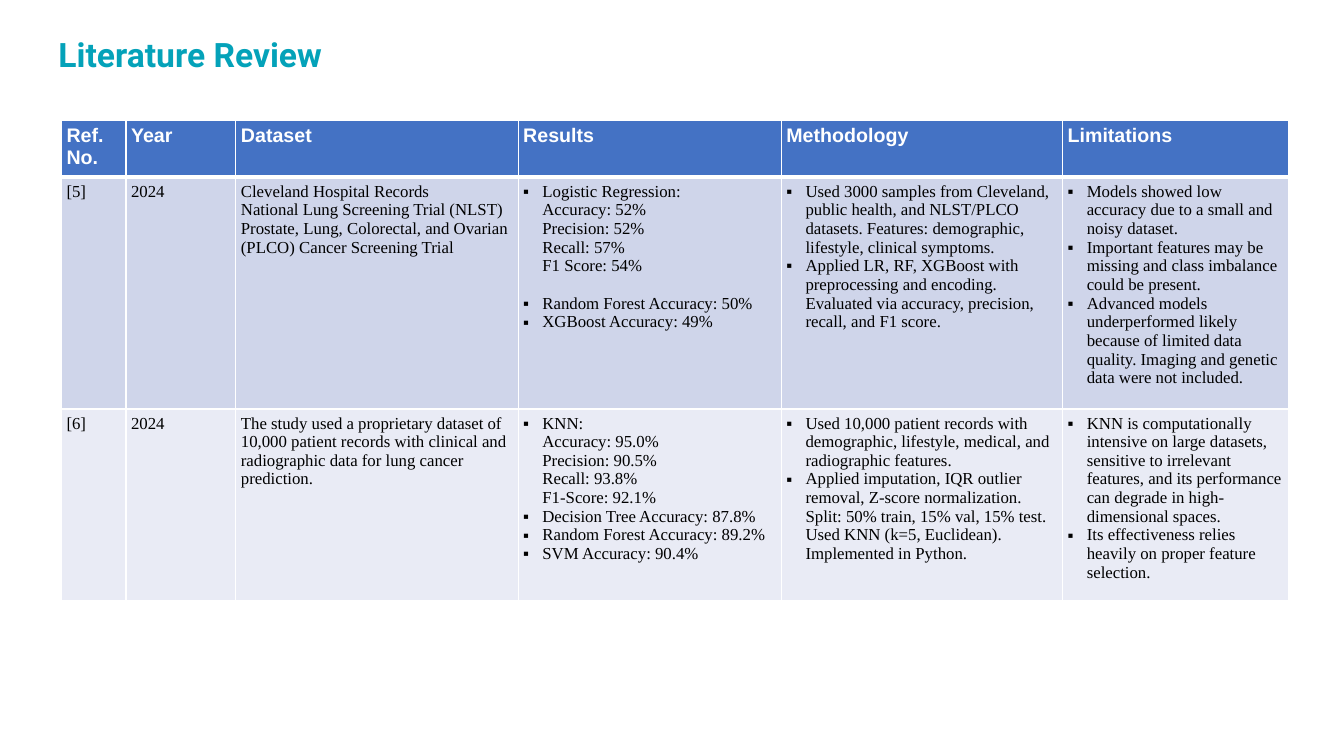
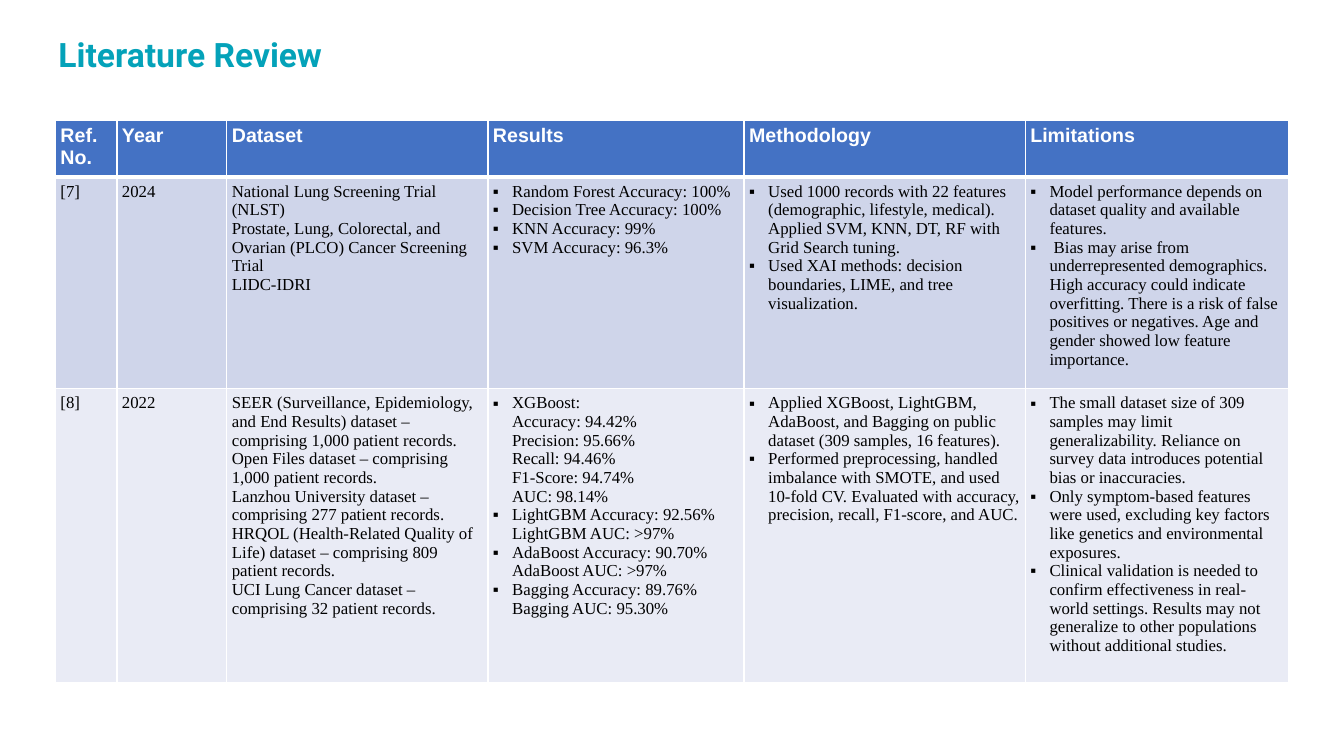
from copy import deepcopy

from lxml import etree
from pptx import Presentation
from pptx.dml.color import RGBColor
from pptx.enum import text
from pptx.oxml.ns import qn
from pptx.util import Inches, Pt

# Shared colours and sizes
TEAL = RGBColor(0x04, 0xA2, 0xB9)
HEADER_BLUE = RGBColor(0x44, 0x72, 0xC4)
BAND_DARK = RGBColor(0xCF, 0xD5, 0xEA)
BAND_LIGHT = RGBColor(0xE9, 0xEB, 0xF5)
WHITE = RGBColor(0xFF, 0xFF, 0xFF)
BLACK = RGBColor(0x00, 0x00, 0x00)
HEADER_HEIGHT = 0.56
TABLE_TOP = 1.19
FIRST_BULLET_COLUMN = 3
HEADINGS = ["Ref. No.", "Year", "Dataset", "Results", "Methodology", "Limitations"]

# Table content: one list of paragraphs per cell
EARLY_STUDIES = [
    [
        ["[5]"],
        ["2024"],
        ["Cleveland Hospital Records",
         "National Lung Screening Trial (NLST)",
         "Prostate, Lung, Colorectal, and Ovarian (PLCO) Cancer Screening Trial"],
        ["Logistic Regression:\nAccuracy: 52%\nPrecision: 52%\nRecall: 57%\nF1 Score: 54%",
         "Random Forest Accuracy: 50%",
         "XGBoost Accuracy: 49%"],
        ["Used 3000 samples from Cleveland, public health, and NLST/PLCO datasets. "
         "Features: demographic, lifestyle, clinical symptoms.",
         "Applied LR, RF, XGBoost with preprocessing and encoding. "
         "Evaluated via accuracy, precision, recall, and F1 score."],
        ["Models showed low accuracy due to a small and noisy dataset.",
         "Important features may be missing and class imbalance could be present.",
         "Advanced models underperformed likely because of limited data quality. "
         "Imaging and genetic data were not included."],
    ],
    [
        ["[6]"],
        ["2024"],
        ["The study used a proprietary dataset of 10,000 patient records with "
         "clinical and radiographic data for lung cancer prediction."],
        ["KNN:\nAccuracy: 95.0%\nPrecision: 90.5%\nRecall: 93.8%\nF1-Score: 92.1%",
         "Decision Tree Accuracy: 87.8%",
         "Random Forest Accuracy: 89.2%",
         "SVM Accuracy: 90.4%"],
        ["Used 10,000 patient records with demographic, lifestyle, medical, and "
         "radiographic features.",
         "Applied imputation, IQR outlier removal, Z-score normalization. "
         "Split: 50% train, 15% val, 15% test. Used KNN (k=5, Euclidean). "
         "Implemented in Python."],
        ["KNN is computationally intensive on large datasets, sensitive to irrelevant "
         "features, and its performance can degrade in high-dimensional spaces.",
         "Its effectiveness relies heavily on proper feature selection."],
    ],
]
LATER_STUDIES = [
    [
        ["[7]"],
        ["2024"],
        ["National Lung Screening Trial (NLST)",
         "Prostate, Lung, Colorectal, and Ovarian (PLCO) Cancer Screening Trial",
         "LIDC-IDRI"],
        ["Random Forest Accuracy: 100%",
         "Decision Tree Accuracy: 100%",
         "KNN Accuracy: 99%",
         "SVM Accuracy: 96.3%"],
        ["Used 1000 records with 22 features (demographic, lifestyle, medical). "
         "Applied SVM, KNN, DT, RF with Grid Search tuning.",
         "Used XAI methods: decision boundaries, LIME, and tree visualization."],
        ["Model performance depends on dataset quality and available features.",
         " Bias may arise from underrepresented demographics. High accuracy could "
         "indicate overfitting. There is a risk of false positives or negatives. "
         "Age and gender showed low feature importance."],
    ],
    [
        ["[8]"],
        ["2022"],
        ["SEER (Surveillance, Epidemiology, and End Results) dataset – "
         "comprising 1,000 patient records.",
         "Open Files dataset – comprising 1,000 patient records.",
         "Lanzhou University dataset – comprising 277 patient records.",
         "HRQOL (Health-Related Quality of Life) dataset – comprising 809 patient records.",
         "UCI Lung Cancer dataset – comprising 32 patient records."],
        ["XGBoost:\nAccuracy: 94.42%\nPrecision: 95.66%\nRecall: 94.46%\n"
         "F1-Score: 94.74%\nAUC: 98.14%",
         "LightGBM Accuracy: 92.56%\nLightGBM AUC: >97%",
         "AdaBoost Accuracy: 90.70%\nAdaBoost AUC: >97%",
         "Bagging Accuracy: 89.76%\nBagging AUC: 95.30%"],
        ["Applied XGBoost, LightGBM, AdaBoost, and Bagging on public dataset "
         "(309 samples, 16 features).",
         "Performed preprocessing, handled imbalance with SMOTE, and used 10-fold CV. "
         "Evaluated with accuracy, precision, recall, F1-score, and AUC."],
        ["The small dataset size of 309 samples may limit generalizability. "
         "Reliance on survey data introduces potential bias or inaccuracies.",
         "Only symptom-based features were used, excluding key factors like genetics "
         "and environmental exposures.",
         "Clinical validation is needed to confirm effectiveness in real-world settings. "
         "Results may not generalize to other populations without additional studies."],
    ],
]


class ReviewDeck:
    """Holds the presentation, its style and the current slide."""

    def __init__(self):
        self.presentation = Presentation()
        self.presentation.slide_width = Inches(13.33)
        self.presentation.slide_height = Inches(7.5)
        self.slide = None

    def add_slide(self, title):
        self.slide = self.presentation.slides.add_slide(self.presentation.slide_layouts[5])
        shape = self.slide.shapes.title
        shape.left, shape.top = Inches(0.58), Inches(0.32)
        shape.width, shape.height = Inches(2.95), Inches(0.42)
        frame = shape.text_frame
        frame.text = title
        frame.word_wrap = True
        frame.auto_size = text.MSO_AUTO_SIZE.SHAPE_TO_FIT_TEXT
        frame.vertical_anchor = text.MSO_ANCHOR.MIDDLE
        frame.margin_left = frame.margin_right = frame.margin_bottom = 0
        frame.margin_top = Inches(0.01)
        paragraph = frame.paragraphs[0]
        paragraph.alignment = text.PP_ALIGN.LEFT
        self.format_runs(paragraph, "Roboto", 24, TEAL, True)

    def add_table(self, left, widths, heights, studies):
        rows = [[[heading] for heading in HEADINGS]] + studies
        heights = [HEADER_HEIGHT] + heights
        table = self.slide.shapes.add_table(
            len(rows), len(widths), Inches(left), Inches(TABLE_TOP),
            Inches(sum(widths)), Inches(sum(heights))).table
        table.horz_banding = False
        for column, width in zip(table.columns, widths):
            column.width = Inches(width)
        for row, height in zip(table.rows, heights):
            row.height = Inches(height)
        for row_index, row in enumerate(rows):
            for column_index, lines in enumerate(row):
                self.fill_cell(table.cell(row_index, column_index), lines,
                               row_index, column_index)
        return table

    def fill_cell(self, cell, lines, row_index, column_index):
        is_header = row_index == 0
        self.add_borders(cell, top=3 if row_index == 1 else 1, bottom=3 if is_header else 1)
        cell.fill.solid()
        cell.fill.fore_color.rgb = (HEADER_BLUE, BAND_DARK, BAND_LIGHT)[row_index]
        cell.margin_left = cell.margin_right = Inches(0.05)
        cell.margin_top = cell.margin_bottom = Inches(0.05)
        frame = cell.text_frame
        for index, line in enumerate(lines):
            paragraph = frame.add_paragraph() if index else frame.paragraphs[0]
            paragraph.text = line
            if is_header:
                self.format_runs(paragraph, "Arial", 14, WHITE, True)
                continue
            if column_index >= FIRST_BULLET_COLUMN:
                self.add_bullet(paragraph)
            self.format_runs(paragraph, "Times New Roman", 12, BLACK, False)

    @staticmethod
    def format_runs(paragraph, font_name, size, color, bold):
        for run in paragraph.runs:
            run.font.name = font_name
            run.font.size = Pt(size)
            run.font.bold = bold
            run.font.color.rgb = color
        # Line breaks take the format of the text around them
        for line_break in paragraph._p.findall(qn("a:br")):
            line_break.append(deepcopy(paragraph.runs[0]._r.rPr))

    @staticmethod
    def add_bullet(paragraph):
        properties = paragraph._p.get_or_add_pPr()
        properties.set("marL", str(Inches(0.19)))
        properties.set("indent", str(-Inches(0.19)))
        color = etree.SubElement(properties, qn("a:buClr"))
        etree.SubElement(color, qn("a:srgbClr"), val=str(BLACK))
        etree.SubElement(properties, qn("a:buFont"), typeface="Arial")
        etree.SubElement(properties, qn("a:buChar"), char="▪")

    @staticmethod
    def add_borders(cell, top, bottom):
        properties = cell._tc.get_or_add_tcPr()
        for side, width in (("L", 1), ("R", 1), ("T", top), ("B", bottom)):
            line = etree.SubElement(properties, qn("a:ln" + side), w=str(Pt(width)))
            fill = etree.SubElement(line, qn("a:solidFill"))
            etree.SubElement(fill, qn("a:srgbClr"), val=str(WHITE))


def main():
    deck = ReviewDeck()

    # Studies 5 and 6
    deck.add_slide("Literature Review")
    table = deck.add_table(0.61, [0.64, 1.09, 2.8, 2.61, 2.79, 2.24], [2.3, 1.9],
                           EARLY_STUDIES)
    # One line of space sets the first model apart
    table.cell(1, 3).text_frame.paragraphs[1].space_before = Pt(13.5)

    # Studies 7 and 8
    deck.add_slide("Literature Review")
    deck.add_table(0.55, [0.61, 1.09, 2.59, 2.54, 2.79, 2.61], [2.1, 2.91],
                   LATER_STUDIES)

    deck.presentation.save("out.pptx")


if __name__ == "__main__":
    main()
